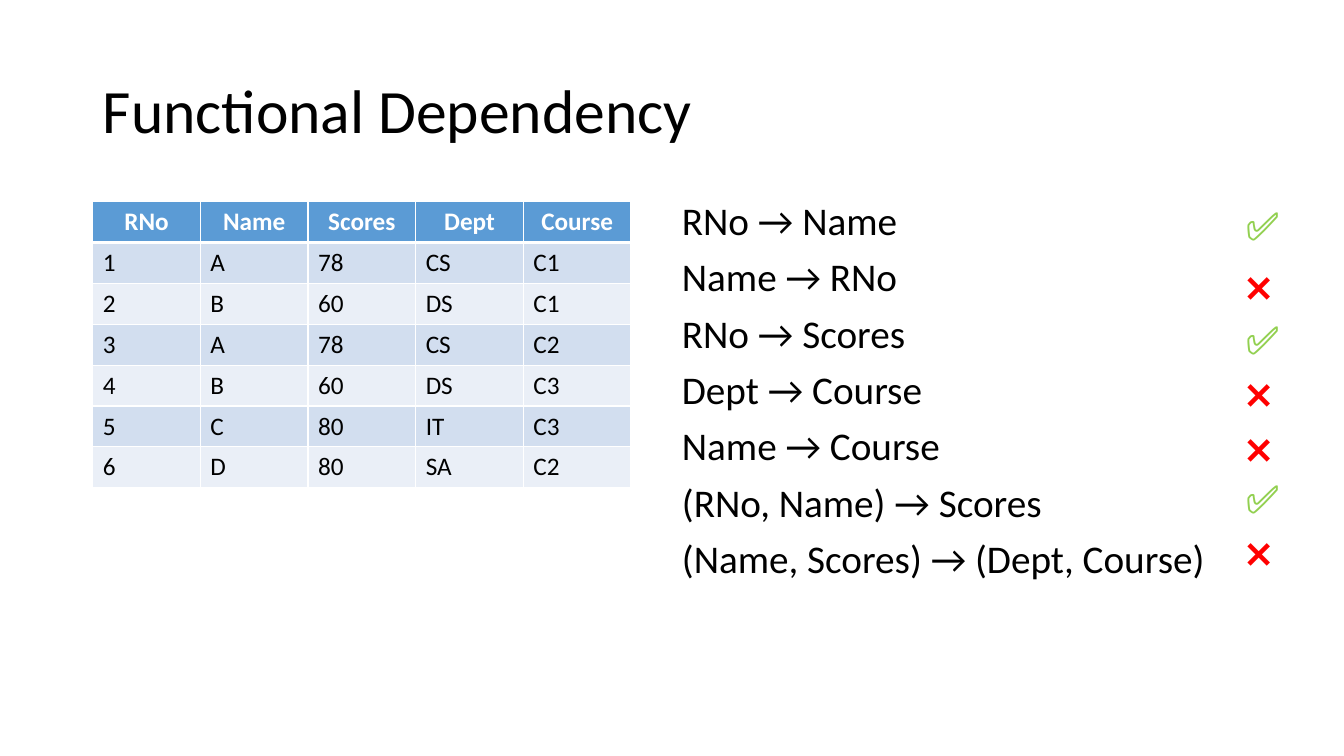
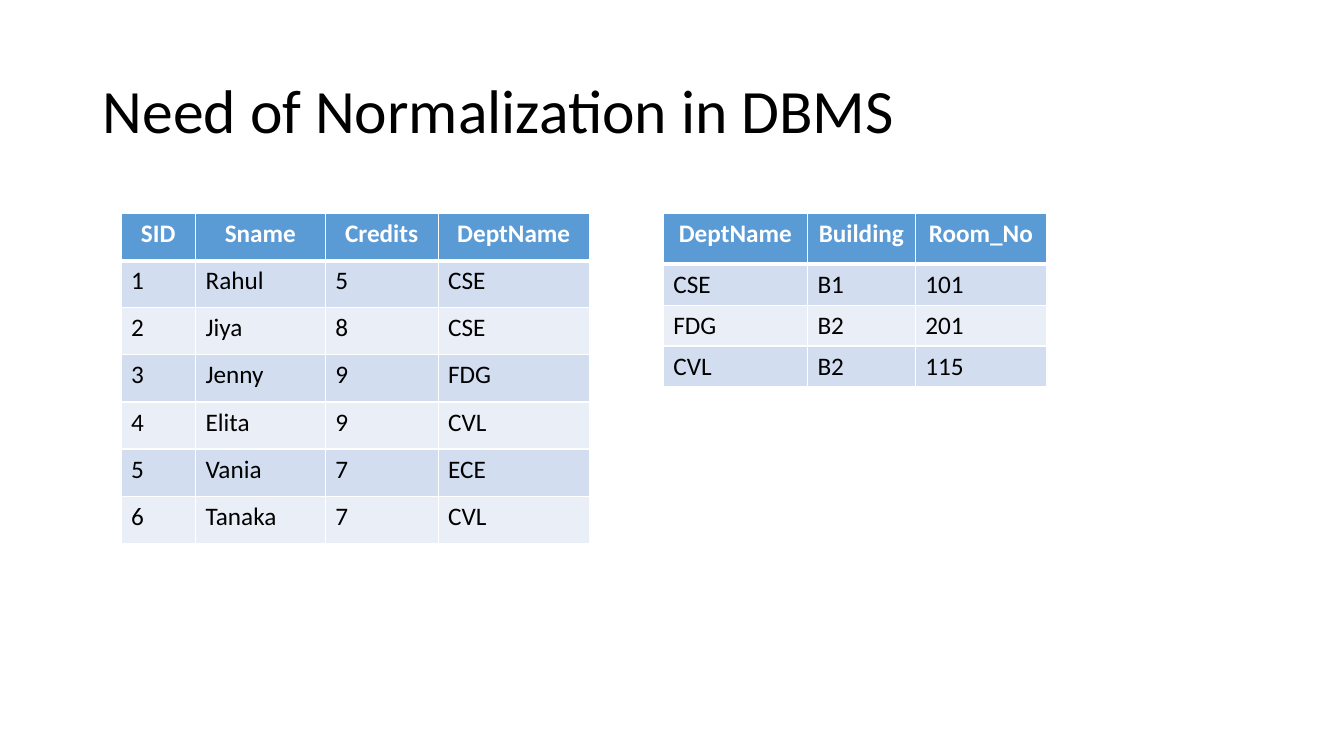
from lxml import etree
from pptx import Presentation
from pptx.dml.color import RGBColor
from pptx.enum.text import MSO_ANCHOR as Anchor, MSO_AUTO_SIZE as AutoSize, PP_ALIGN as Align
from pptx.oxml.ns import qn
from pptx.util import Inches, Pt

WIDTH, HEIGHT = Inches(13.33), Inches(7.5)
FONT = "Calibri"
COLOURS = {
    "text": "000000", "white": "FFFFFF", "header": "5B9BD5",
    "odd_row": "D2DEEF", "even_row": "EAEFF7",
    "holds": "92D050", "fails": "FF0000",
}
TITLE_ONLY = 5
ROW = 5.41  # usual table row, percent of slide height
VERDICTS = {"holds": "✅", "fails": "❌"}

# Each dependency, its verdict and the top of its mark
DEPENDENCIES = [
    ("RNo → Name", "holds", 26),
    ("Name → RNo", "fails", 34.13),
    ("RNo → Scores", "holds", 41.07),
    ("Dept → Course", "fails", 48.27),
    ("Name → Course", "fails", 55.6),
    ("(RNo, Name) → Scores", "holds", 62.13),
    ("(Name, Scores) → (Dept, Course)", "fails", 69.33),
]
SCORES = [
    ("RNo", "Name", "Scores", "Dept", "Course"),
    ("1", "A", "78", "CS", "C1"),
    ("2", "B", "60", "DS", "C1"),
    ("3", "A", "78", "CS", "C2"),
    ("4", "B", "60", "DS", "C3"),
    ("5", "C", "80", "IT", "C3"),
    ("6", "D", "80", "SA", "C2"),
]
STUDENTS = [
    ("SID", "Sname", "Credits", "DeptName"),
    ("1", "Rahul", "5", "CSE"),
    ("2", "Jiya", "8", "CSE"),
    ("3", "Jenny", "9", "FDG"),
    ("4", "Elita", "9", "CVL"),
    ("5", "Vania", "7", "ECE"),
    ("6", "Tanaka", "7", "CVL"),
]
DEPARTMENTS = [
    ("DeptName", "Building", "Room_No"),
    ("CSE", "B1", "101"),
    ("FDG", "B2", "201"),
    ("CVL", "B2", "115"),
]


def across(percent):
    return round(WIDTH * percent / 100)


def down(percent):
    return round(HEIGHT * percent / 100)


def area(left, top, width, height):
    return across(left), down(top), across(width), down(height)


def rgb(colour):
    return RGBColor.from_string(COLOURS[colour])


def line_xml(tag, colour, points):
    """Make a solid line element for a cell edge or a text outline."""
    line = etree.Element(qn(tag), w=str(Pt(points)))
    fill = etree.SubElement(line, qn("a:solidFill"))
    etree.SubElement(fill, qn("a:srgbClr"), val=COLOURS[colour])
    return line


def write(frame, *lines, size=18, colour="text", bold=False, align=Align.LEFT,
          spacing=None, before=None, outline=None):
    """Write one paragraph per line, all in the same format."""
    for index, line in enumerate(lines):
        paragraph = frame.add_paragraph() if index else frame.paragraphs[0]
        paragraph.alignment = align
        paragraph.line_spacing = spacing
        paragraph.space_before = before
        run = paragraph.add_run()
        run.text = line
        run.font.name = FONT
        run.font.size = Pt(size)
        run.font.bold = bold
        run.font.color.rgb = rgb(colour)
        if outline:
            run.font._element.insert(0, line_xml("a:ln", colour, outline))


def add_titled_slide(deck, heading):
    slide = deck.slides.add_slide(deck.slide_layouts[TITLE_ONLY])
    title = slide.shapes.title
    title.left, title.top, title.width, title.height = area(6.9, 5.33, 86.25, 19.33)
    title.text_frame.vertical_anchor = Anchor.MIDDLE
    write(title.text_frame, heading, size=44, spacing=0.9)
    return slide


def add_text(slide, box, *lines, wrap=True, **style):
    frame = slide.shapes.add_textbox(*area(*box)).text_frame
    frame.word_wrap = wrap
    frame.auto_size = AutoSize.NONE if wrap else AutoSize.SHAPE_TO_FIT_TEXT
    write(frame, *lines, **style)


def set_borders(cell, top, bottom):
    edges = {"a:lnL": 1, "a:lnR": 1, "a:lnT": top, "a:lnB": bottom}
    properties = cell._tc.get_or_add_tcPr()
    for place, (tag, points) in enumerate(edges.items()):
        properties.insert(place, line_xml(tag, "white", points))


def add_relation(slide, left, top, records, columns, row=ROW, header_row=None):
    """Draw a relation as a table with a header and banded records."""
    heights = [header_row or row] + [row] * (len(records) - 1)
    table = slide.shapes.add_table(
        len(records), len(columns), *area(left, top, sum(columns), sum(heights))).table
    for column, width in zip(table.columns, columns):
        column.width = across(width)
    for number, (record, height) in enumerate(zip(records, heights)):
        table.rows[number].height = down(height)
        is_header = number == 0
        band = "header" if is_header else "odd_row" if number % 2 else "even_row"
        for cell, value in zip(table.rows[number].cells, record):
            cell.fill.solid()
            cell.fill.fore_color.rgb = rgb(band)
            set_borders(cell, top=3 if number == 1 else 1, bottom=3 if is_header else 1)
            write(cell.text_frame, value, bold=is_header,
                  colour="white" if is_header else "text",
                  align=Align.CENTER if is_header else Align.LEFT)


def add_dependency_slide(deck):
    slide = add_titled_slide(deck, "Functional Dependency")
    add_relation(slide, 6.9, 26.67, SCORES, [8.01] * 5)
    add_text(slide, (50, 26, 41.93, 44.4), *(rule for rule, _, _ in DEPENDENCIES),
             size=28, spacing=0.9, before=Pt(10))
    # Verdict marks
    for _, verdict, top in DEPENDENCIES:
        add_text(slide, (91.95, top, 4.43, 7.6), VERDICTS[verdict], wrap=False, size=28,
                 colour=verdict, outline=0.75 if verdict == "holds" else None)


def add_normalization_slide(deck):
    slide = add_titled_slide(deck, "Need of Normalization in DBMS")
    add_relation(slide, 9, 28.27, STUDENTS, [5.55, 9.65, 8.4, 11.25], row=6.23)
    add_relation(slide, 49.35, 28.27, DEPARTMENTS, [10.73, 8.03, 9.75], header_row=6.7)


def main():
    deck = Presentation()
    deck.slide_width, deck.slide_height = WIDTH, HEIGHT
    add_dependency_slide(deck)
    add_normalization_slide(deck)
    deck.save("out.pptx")


if __name__ == "__main__":
    main()
